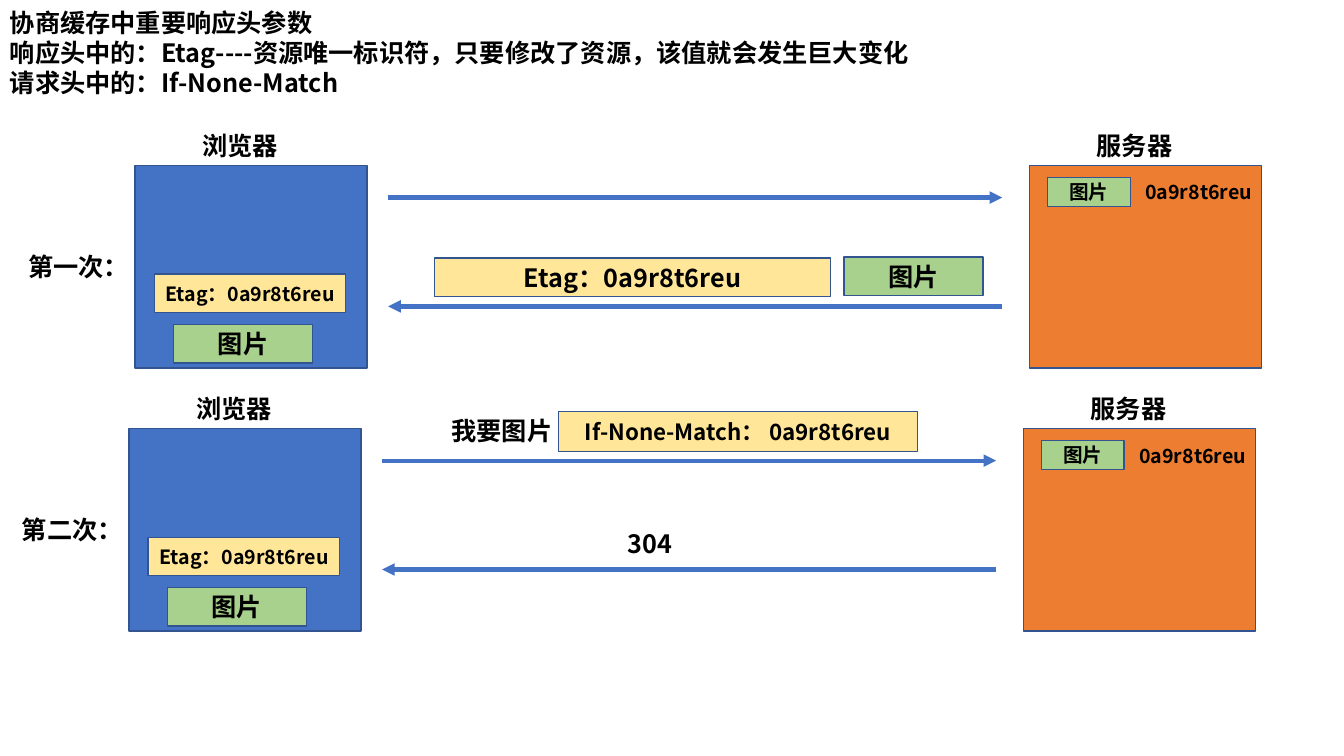
from lxml.etree import SubElement
from pptx import Presentation
from pptx.dml.color import RGBColor
from pptx.enum.shapes import MSO_CONNECTOR as Connector, MSO_SHAPE as Preset
from pptx.enum.text import MSO_ANCHOR as Anchor, MSO_AUTO_SIZE as AutoSize, PP_ALIGN as Align
from pptx.oxml.ns import qn
from pptx.util import Inches, Pt

COLORS = {
    "browser": "4472C4",
    "server": "ED7D31",
    "resource": "A9D18E",
    "tag": "FFE699",
    "border": "325491",
    "arrow": "4472C4",
    "text": "000000",
}
FONT = "Noto Sans CJK SC"
TAG = "0a9r8t6reu"
ETAG = f"Etag：{TAG}"
RESOURCE = "图片"


def rgb(name):
    return RGBColor.from_string(COLORS[name])


def apply_format(target, values):
    for name, value in values.items():
        setattr(target, name, value)


class Diagram:
    def __init__(self, slide, font):
        self.slide = slide
        self.font = font
        self.move_to(0, 0)

    def move_to(self, left, top):
        self.left, self.top = left, top

    def place(self, left, top):
        return Inches(self.left + left), Inches(self.top + top)

    def fill_text(self, frame, lines, size, align):
        for index, line in enumerate(lines):
            paragraph = frame.paragraphs[0] if index == 0 else frame.add_paragraph()
            paragraph.alignment = align
            run = paragraph.add_run()
            run.text = line
            apply_format(run.font, {"name": self.font, "size": Pt(size), "bold": True})
            run.font.color.rgb = rgb("text")
            SubElement(run.font._element, qn("a:ea"), typeface=self.font)

    def label(self, left, top, width, height, *lines, size=18):
        shape = self.slide.shapes.add_textbox(*self.place(left, top), Inches(width), Inches(height))
        apply_format(shape.text_frame, {"word_wrap": True, "auto_size": AutoSize.SHAPE_TO_FIT_TEXT})
        self.fill_text(shape.text_frame, lines, size, Align.LEFT)

    def box(self, color, left, top, width, height, *lines, size=18):
        shape = self.slide.shapes.add_shape(
            Preset.RECTANGLE, *self.place(left, top), Inches(width), Inches(height))
        shape.shadow.inherit = False
        shape.fill.solid()
        shape.fill.fore_color.rgb = rgb(color)
        shape.line.color.rgb = rgb("border")
        shape.line.width = Pt(1)
        apply_format(shape.text_frame, {"word_wrap": True, "vertical_anchor": Anchor.MIDDLE})
        self.fill_text(shape.text_frame, lines, size, Align.CENTER)

    def arrow(self, start, end, top):
        connector = self.slide.shapes.add_connector(
            Connector.STRAIGHT, *self.place(start, top), *self.place(end, top))
        connector.line.color.rgb = rgb("arrow")
        connector.line.width = Pt(3)
        properties = connector._element.spPr
        SubElement(properties.find(qn("a:ln")), qn("a:tailEnd"), type="triangle")
        SubElement(properties, qn("a:effectLst"))

    def exchange(self, title):
        browser, server = 1.34, 10.21
        for name, caption, left in (("browser", "浏览器", browser), ("server", "服务器", server)):
            self.box(name, left, 0.4, 2.3, 2.01)
            self.label(left + 0.57, 0, 1.3, 0.4, caption)
        self.label(0.18, 1.2, 1.3, 0.4, title)
        self.arrow(3.85, 9.94, 0.72)
        self.arrow(9.94, 3.85, 1.8)
        self.box("resource", server + 0.18, 0.52, 0.82, 0.29, RESOURCE, size=14)
        self.label(server + 1.05, 0.5, 1.28, 0.34, TAG, size=14)
        self.box("resource", browser + 0.38, 1.98, 1.38, 0.38, RESOURCE)
        self.box("tag", browser + 0.19, 1.48, 1.9, 0.38, ETAG, size=14)


presentation = Presentation()
apply_format(presentation, {"slide_width": Inches(13.33), "slide_height": Inches(7.5)})
slide = presentation.slides.add_slide(presentation.slide_layouts[6])
diagram = Diagram(slide, FONT)

diagram.label(
    0, 0.02, 9.66, 1.01,
    "协商缓存中重要响应头参数",
    "响应头中的：Etag----资源唯一标识符，只要修改了资源，该值就会发生巨大变化",
    "请求头中的：If-None-Match",
)

diagram.move_to(0, 1.24)
diagram.exchange("第一次：")
diagram.box("tag", 4.31, 1.32, 3.93, 0.38, ETAG)
diagram.box("resource", 8.37, 1.31, 1.38, 0.38, RESOURCE)

diagram.move_to(-0.06, 3.85)
diagram.exchange("第二次：")
diagram.label(4.44, 0.22, 1.4, 0.4, "我要图片")
diagram.box("tag", 5.6, 0.23, 3.56, 0.4, f"If-None-Match： {TAG}", size=16)
diagram.label(6.19, 1.34, 1.4, 0.4, "304")

presentation.save("out.pptx")
